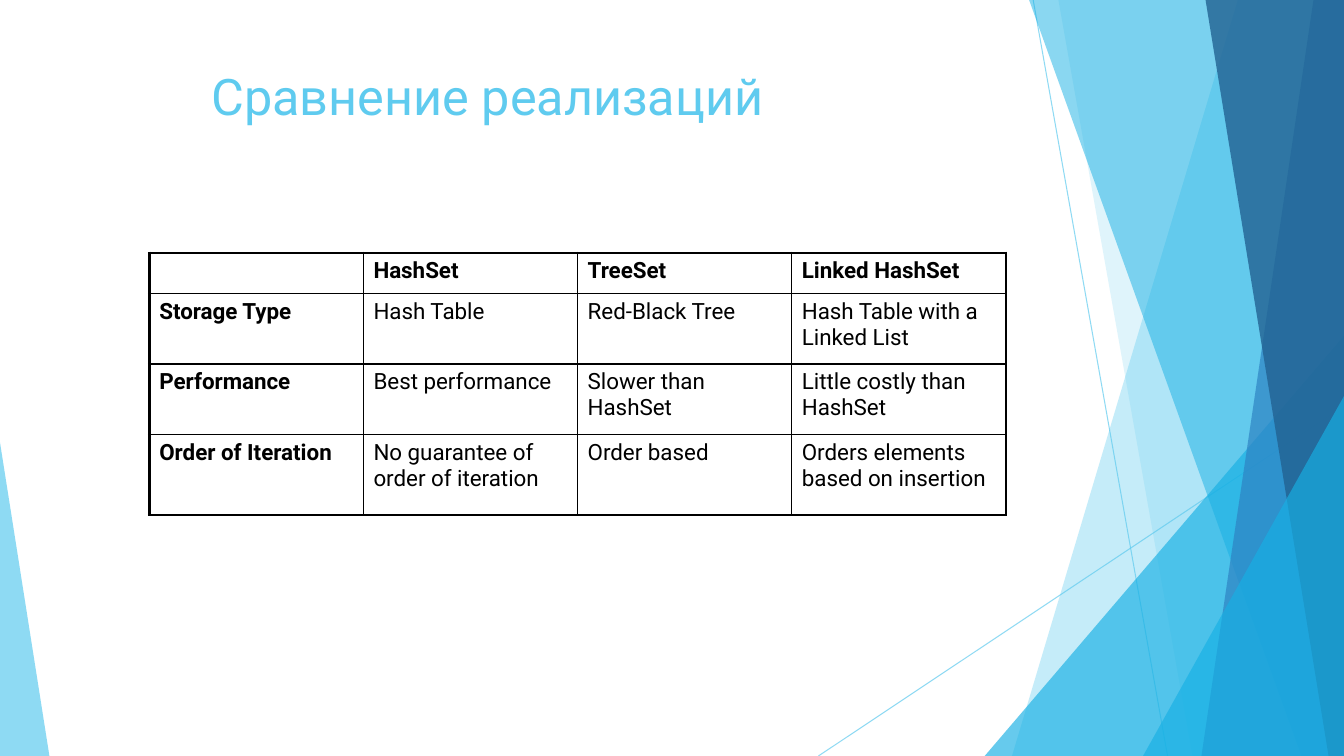
from dataclasses import dataclass

from lxml import etree
from pptx import Presentation
from pptx import util as u
from pptx.dml.color import RGBColor
from pptx.enum import shapes, text
from pptx.oxml.ns import qn


@dataclass(frozen=True)
class Theme:
    font: str = "Roboto"
    title_size: int = 36
    cell_size: int = 16
    sky: str = "5FCBEF"
    cyan: str = "17B0E4"
    blue: str = "2E83C3"
    navy: str = "226292"
    ink: str = "000000"
    hairline: float = 0.75
    inner: float = 1
    outer: float = 2.25


T = Theme()
W, H = 960, 540

# Content
TITLE = "Сравнение реализаций"
TABLE = [
    ("", "HashSet", "TreeSet", "Linked HashSet"),
    ("Storage Type", "Hash Table", "Red-Black Tree", "Hash Table with a Linked List"),
    ("Performance", "Best performance", "Slower than HashSet", "Little costly than HashSet"),
    ("Order of Iteration", "No guarantee of order of iteration", "Order based",
     "Orders elements based on insertion"),
]
TABLE_LEFT, TABLE_TOP, COL_W = 106.6, 180.7, 153
ROW_H = (28.8, 50.4, 50.4, 57.6)

# Decoration, back to front
RAYS = [((738, 0), (834, H)), ((W, 290), (584.6, H))]
# Bands run to the right edge: top-left x, bottom-left x, colour, opacity %
# Corners rise from the bottom edge: left, top, width, apex, colour, opacity %
FACETS = [
    ("band", 884.2, 722.9, T.sky, 36),
    ("band", 756, 851.8, T.sky, 20),
    ("corner", 703.4, 239.8, 256.6, 1, T.cyan, 66),
    ("band", 735.1, 929.5, T.cyan, 50),
    ("band", 938.2, 858.2, T.blue, 70),
    ("band", 861.1, 949, T.navy, 80),
    ("corner", 816.5, 283, 143.5, 1, T.cyan, 66),
    ("corner", 0, 316.1, 35.3, 0, T.sky, 70),
]


def set_alpha(fmt_xml, opacity):
    color = next(fmt_xml.iter(qn("a:srgbClr")))
    etree.SubElement(color, qn("a:alpha"), val=str(opacity * 1000))


def add_ray(s, start, end):
    ray = s.shapes.add_connector(shapes.MSO_CONNECTOR.STRAIGHT,
                                 *(u.Pt(v) for v in start + end))
    ray.line.color.rgb = RGBColor.from_string(T.sky)
    ray.line.width = u.Pt(T.hairline)
    set_alpha(ray.line._ln, 70)
    etree.SubElement(ray._element.spPr, qn("a:effectLst"))


def add_band(s, top_x, bottom_x):
    corners = [(u.Pt(x), u.Pt(y)) for x, y in
               ((top_x, 0), (W, 0), (W, H), (bottom_x, H))]
    outline = s.shapes.build_freeform(*corners[0])
    outline.add_line_segments(corners[1:], close=True)
    return outline.convert_to_shape()


def add_corner(s, left, top, width, apex):
    sp = s.shapes.add_shape(shapes.MSO_SHAPE.ISOSCELES_TRIANGLE,
                            *(u.Pt(v) for v in (left, top, width, H - top)))
    sp.adjustments[0] = apex
    return sp


def add_run(p, words, size, color, bold=False):
    r = p.add_run()
    r.text = words
    r.font.name = T.font
    r.font.size = u.Pt(size)
    r.font.bold = bold
    r.font.color.rgb = RGBColor.from_string(color)


def add_border(cell, side, width):
    ln = etree.SubElement(cell._tc.get_or_add_tcPr(), qn("a:ln" + side),
                          w=str(u.Pt(width)))
    fill = etree.SubElement(ln, qn("a:solidFill"))
    etree.SubElement(fill, qn("a:srgbClr"), val=T.ink)


prs = Presentation()
prs.slide_width, prs.slide_height = u.Pt(W), u.Pt(H)
s = prs.slides.add_slide(prs.slide_layouts[6])

# Background facets
for start, end in RAYS:
    add_ray(s, start, end)
makers = {"band": add_band, "corner": add_corner}
for kind, *place, color, opacity in FACETS:
    sp = makers[kind](s, *place)
    sp.shadow.inherit = False
    sp.line.fill.background()
    sp.fill.solid()
    sp.fill.fore_color.rgb = RGBColor.from_string(color)
    set_alpha(sp._element.spPr, opacity)

# Title
tf = s.shapes.add_textbox(u.Pt(144), u.Pt(43.2), u.Pt(575), u.Pt(113)).text_frame
tf.word_wrap = True
tf.vertical_anchor = text.MSO_ANCHOR.TOP
add_run(tf.paragraphs[0], TITLE, T.title_size, T.sky)

# Comparison table
n_rows, n_cols = len(TABLE), len(TABLE[0])
table = s.shapes.add_table(n_rows, n_cols, u.Pt(TABLE_LEFT), u.Pt(TABLE_TOP),
                           u.Pt(COL_W * n_cols), u.Pt(sum(ROW_H))).table
table.first_row = table.horz_banding = False
for column in table.columns:
    column.width = u.Pt(COL_W)
for i, row in enumerate(TABLE):
    table.rows[i].height = u.Pt(ROW_H[i])
    for j, words in enumerate(row):
        cell = table.cell(i, j)
        edges = {"L": j == 0, "R": j == n_cols - 1, "T": i == 0, "B": i == n_rows - 1}
        for side, is_outer in edges.items():
            add_border(cell, side, T.outer if is_outer else T.inner)
        cell.fill.background()
        if words:
            add_run(cell.text_frame.paragraphs[0], words, T.cell_size, T.ink,
                    bold=i == 0 or j == 0)

prs.save("out.pptx")
